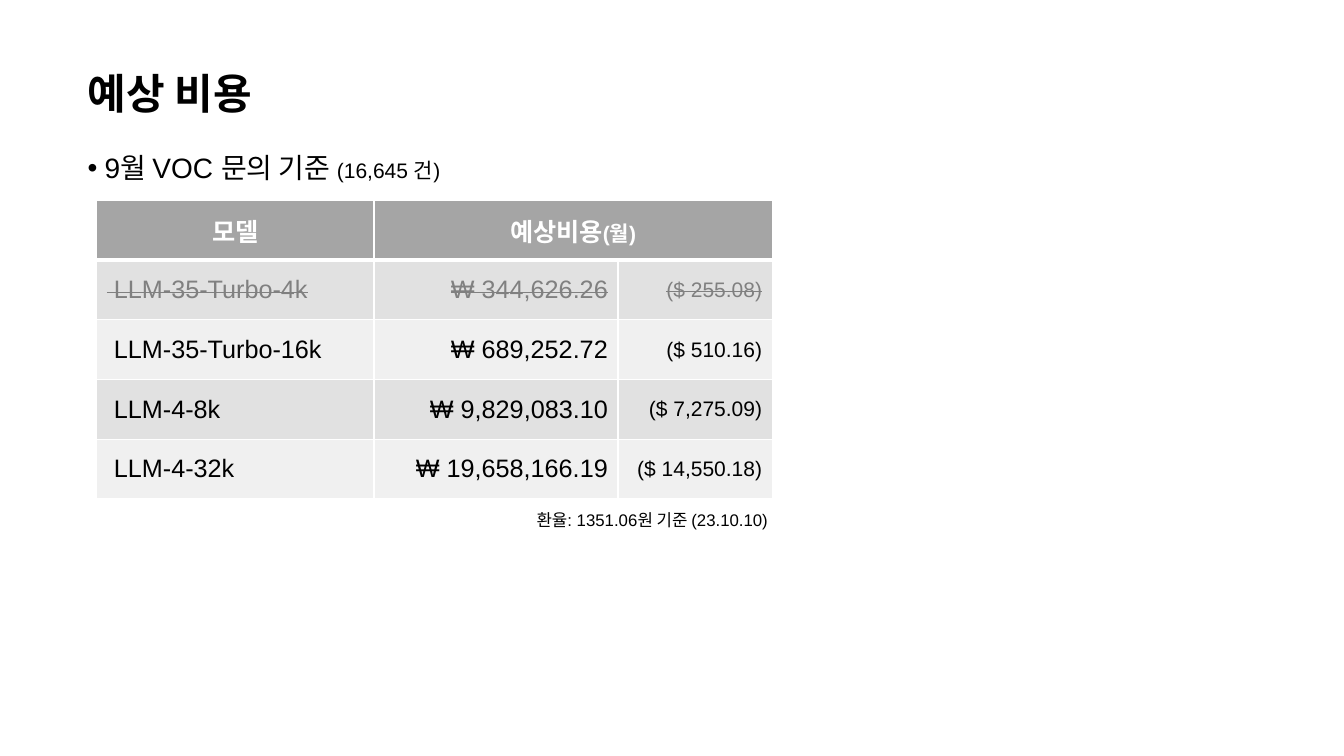
from lxml.etree import SubElement
from pptx import Presentation
from pptx.dml.color import RGBColor
from pptx.enum.text import MSO_ANCHOR as Anchor, MSO_AUTO_SIZE as AutoSize, PP_ALIGN as Align
from pptx.oxml import parse_xml
from pptx.oxml.ns import nsdecls, qn
from pptx.util import Inches, Pt

WIDTH, HEIGHT = Inches(13.33), Inches(7.5)
BLACK, WHITE, GREY = "000000", "FFFFFF", "808080"
HEADER_FILL, BAND_FILLS = "A5A5A5", ("E1E1E1", "F0F0F0")
COLUMN_SHARES, ROW_SHARE = (20.63, 18.15, 11.48), 7.89
COSTS = (
    (" LLM-35-Turbo-4k", "₩ 344,626.26", "($ 255.08)"),
    (" LLM-35-Turbo-16k", "₩ 689,252.72", "($ 510.16)"),
    (" LLM-4-8k", "₩ 9,829,083.10", "($ 7,275.09)"),
    (" LLM-4-32k", "₩ 19,658,166.19", "($ 14,550.18)"),
)


def across(percent):
    return round(WIDTH * percent / 100)


def down(percent):
    return round(HEIGHT * percent / 100)


def color(value):
    return RGBColor.from_string(value)


def add_runs(paragraph, runs, ink=BLACK, bold=False, struck=False):
    for words, size in runs:
        run = paragraph.add_run()
        run.text = words
        run.font.name = "Arial"
        run.font.size = Pt(size)
        run.font.bold = bold
        run.font.color.rgb = color(ink)
        if struck:
            run.font._element.set("strike", "sngStrike")


def add_text(slide, left, top, width, height, runs, align=Align.LEFT,
             spacing=1.0, bold=False, bulleted=False):
    frame = slide.shapes.add_textbox(
        across(left), down(top), across(width), down(height)).text_frame
    frame.word_wrap = True
    frame.auto_size = AutoSize.SHAPE_TO_FIT_TEXT
    paragraph = frame.paragraphs[0]
    paragraph.alignment = align
    paragraph.line_spacing = spacing
    if bulleted:
        properties = paragraph._p.get_or_add_pPr()
        indent = Inches(0.17)
        properties.set("marL", str(indent))
        properties.set("indent", str(-indent))
        SubElement(properties, qn("a:buFont"), typeface="Arial")
        SubElement(properties, qn("a:buChar"), char="•")
    add_runs(paragraph, runs, bold=bold)


def add_borders(cell, top=1, bottom=1):
    properties = cell._tc.get_or_add_tcPr()
    sides = (("L", 1), ("R", 1), ("T", top), ("B", bottom))
    for position, (side, points) in enumerate(sides):
        properties.insert(position, parse_xml(
            f'<a:ln{side} {nsdecls("a")} w="{Pt(points)}"><a:solidFill>'
            f'<a:srgbClr val="{WHITE}"/></a:solidFill></a:ln{side}>'))


def fill_cell(cell, runs, fill, align, ink=BLACK, bold=False, struck=False, **borders):
    cell.fill.solid()
    cell.fill.fore_color.rgb = color(fill)
    cell.vertical_anchor = Anchor.MIDDLE
    add_borders(cell, **borders)
    paragraph = cell.text_frame.paragraphs[0]
    paragraph.alignment = align
    add_runs(paragraph, runs, ink, bold, struck)


def add_cost_table(slide, left, top):
    row_count = len(COSTS) + 1
    table = slide.shapes.add_table(
        row_count, len(COLUMN_SHARES), across(left), down(top),
        across(sum(COLUMN_SHARES)), down(ROW_SHARE * row_count)).table
    for column, share in zip(table.columns, COLUMN_SHARES):
        column.width = across(share)
    for row in table.rows:
        row.height = down(ROW_SHARE)
    table.cell(0, 1).merge(table.cell(0, 2))
    headings = ([("모델", 18)], [("예상비용", 18), ("(월)", 15)], [])
    for column, heading in enumerate(headings):
        fill_cell(table.cell(0, column), heading, HEADER_FILL, Align.CENTER,
                  WHITE, bold=True, bottom=3)
    formats = ((18, Align.LEFT), (18, Align.RIGHT), (15, Align.RIGHT))
    for row, costs in enumerate(COSTS, 1):
        excluded = row == 1
        for column, (words, (size, align)) in enumerate(zip(costs, formats)):
            fill_cell(table.cell(row, column), [(words, size)],
                      BAND_FILLS[(row - 1) % 2], align,
                      GREY if excluded else BLACK, struck=excluded,
                      top=3 if excluded else 1)


def main():
    deck = Presentation()
    deck.slide_width, deck.slide_height = WIDTH, HEIGHT
    slide = deck.slides.add_slide(deck.slide_layouts[6])
    add_text(slide, 5.78, 6.93, 53.19, 8.67, [("예상 비용", 30)], spacing=1.2, bold=True)
    add_cost_table(slide, 7.2, 26.53)
    add_text(slide, 38.33, 66.8, 20.41, 4,
             [("환율: 1351.06원 기준 (23.10.10)", 12)], Align.CENTER)
    add_text(slide, 5.78, 17.07, 89.65, 7.2,
             [("9월 VOC 문의 기준 ", 20), ("(16,645 건)", 15)],
             spacing=1.5, bulleted=True)
    deck.save("out.pptx")


if __name__ == "__main__":
    main()
